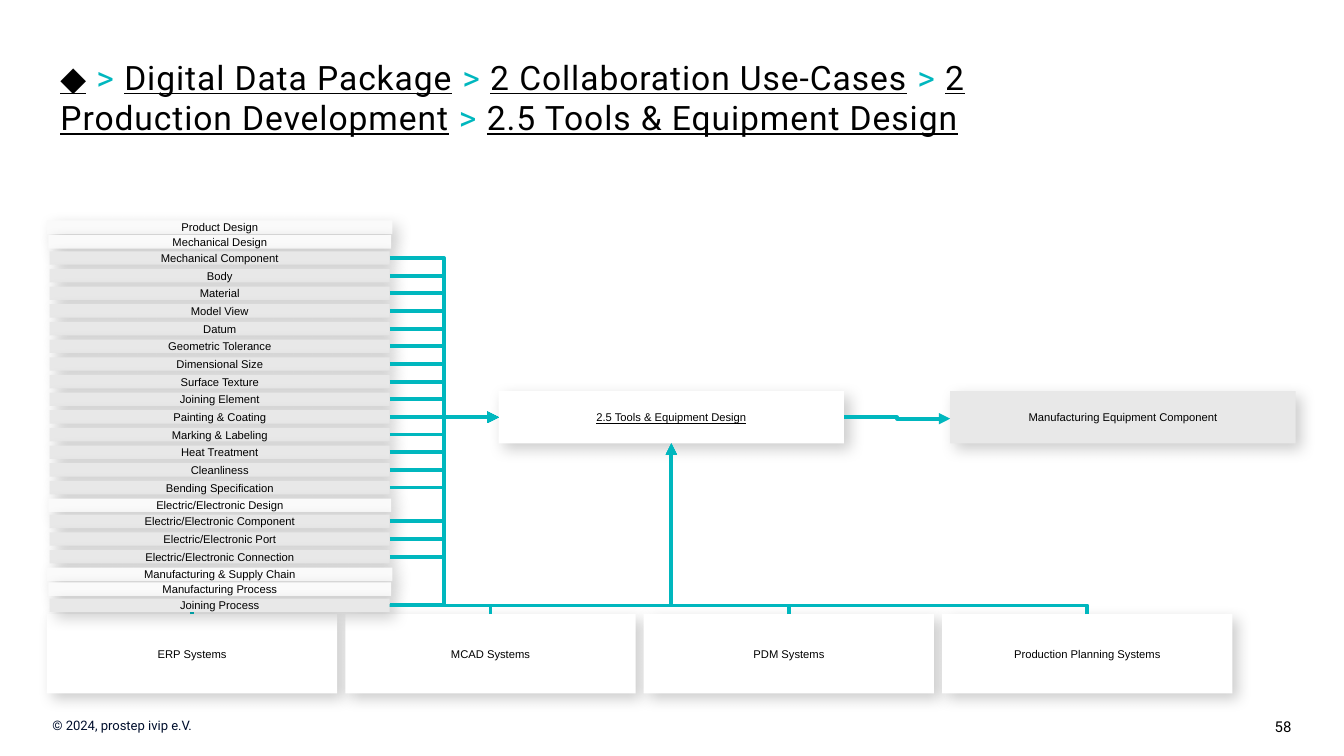
from lxml import etree
from pptx import Presentation
from pptx.dml.color import RGBColor
from pptx.enum.shapes import MSO_CONNECTOR, MSO_SHAPE
from pptx.enum.text import MSO_ANCHOR, MSO_AUTO_SIZE, PP_ALIGN
from pptx.oxml.ns import qn
from pptx.util import Inches, Pt

ELBOW = MSO_CONNECTOR.ELBOW
RECT = MSO_SHAPE.RECTANGLE
TOP, MIDDLE = MSO_ANCHOR.TOP, MSO_ANCHOR.MIDDLE
NO_FIT, GROW = MSO_AUTO_SIZE.NONE, MSO_AUTO_SIZE.SHAPE_TO_FIT_TEXT
LEFT, CENTER, RIGHT = PP_ALIGN.LEFT, PP_ALIGN.CENTER, PP_ALIGN.RIGHT

BLACK, WHITE, NAVY, TEAL = "000000", "FFFFFF", "000F2D", "00B7BE"
PALE, GREY = "FAFAFA", "E8E8E8"

HUB = (3.71, 2.91, 2.57, 0.39)
TOOL = "2.5 Tools & Equipment Design"
CRUMBS = ["◆", "Digital Data Package", "2 Collaboration Use-Cases",
          "2 Production Development", TOOL]
SYSTEMS = ["ERP Systems", "MCAD Systems", "PDM Systems",
           "Production Planning Systems"]
# Level 0 and 1 are headings, level 2 feeds the hub.
INPUTS = [
    (0, ["Product Design"]),
    (1, ["Mechanical Design"]),
    (2, ["Mechanical Component", "Body", "Material", "Model View", "Datum",
         "Geometric Tolerance", "Dimensional Size", "Surface Texture",
         "Joining Element", "Painting & Coating", "Marking & Labeling",
         "Heat Treatment", "Cleanliness", "Bending Specification"]),
    (1, ["Electric/Electronic Design"]),
    (2, ["Electric/Electronic Component", "Electric/Electronic Port",
         "Electric/Electronic Connection"]),
    (0, ["Manufacturing & Supply Chain"]),
    (1, ["Manufacturing Process"]),
    (2, ["Joining Process"]),
]
STEPS = [0.11, 0.12, 1.84 / 14]


def color(code):
    return RGBColor.from_string(code)


def style(font, name, size, code):
    font.name, font.size = name, Pt(size)
    font.color.rgb = color(code)


def pad(frame, left, top, right, bottom):
    frame.margin_left, frame.margin_top = Inches(left), Inches(top)
    frame.margin_right, frame.margin_bottom = Inches(right), Inches(bottom)


def place(shape, box):
    shape.left, shape.top, shape.width, shape.height = map(Inches, box)


def shade(shape):
    """Cast a soft shadow to the lower right."""
    shape.shadow.inherit = False
    effects = shape._element.spPr.find(qn("a:effectLst"))
    outer = etree.SubElement(effects, qn("a:outerShdw"), blurRad=str(Pt(8)),
                             dist=str(Pt(4)), dir=str(45 * 60000),
                             algn="tl", rotWithShape="0")
    tint = etree.SubElement(outer, qn("a:srgbClr"), val=BLACK)
    etree.SubElement(tint, qn("a:alpha"), val="20000")


def card(slide, box, text, fill, link=False):
    shape = slide.shapes.add_shape(RECT, *map(Inches, box))
    shape.fill.solid()
    shape.fill.fore_color.rgb = color(fill)
    shape.line.fill.background()
    shade(shape)
    frame = shape.text_frame
    frame.word_wrap, frame.vertical_anchor = True, MIDDLE
    pad(frame, 0, 0, 0, 0)
    para = frame.paragraphs[0]
    para.text, para.alignment = text, CENTER
    style(para.font, "Arial", 6, BLACK)
    para.font.underline = link


def arrow(slide, x1, y1, x2, y2):
    line = slide.shapes.add_connector(ELBOW, *map(Inches, (x1, y1, x2, y2)))
    line.line.color.rgb, line.line.width = color(TEAL), Pt(2)
    props = line._element.spPr
    etree.SubElement(props.find(qn("a:ln")), qn("a:tailEnd"), type="triangle")
    etree.SubElement(props, qn("a:effectLst"))
    return line


def rise(slide, x1, y1, x2, y2):
    """Arrow that goes up, across close to its start, and up again."""
    mid_x, mid_y = (x1 + x2) / 2, (y1 + y2) / 2
    half, side = (y1 - y2) / 2, (x2 - x1) / 2
    # Laid out on its side, then turned upright.
    turn = 1 if side > 0 else -1
    line = arrow(slide, mid_x + turn * half, mid_y + abs(side),
                 mid_x - turn * half, mid_y - abs(side))
    line.rotation = 90 if turn > 0 else 270
    guides = line._element.spPr.find(qn("a:prstGeom")).get_or_add_avLst()
    etree.SubElement(guides, qn("a:gd"), name="adj1", fmla="val 5000")


def heading(slide, box):
    title = slide.shapes.title
    place(title, box)
    frame = title.text_frame
    frame.word_wrap, frame.auto_size = True, NO_FIT
    frame.vertical_anchor = TOP
    pad(frame, 0.1, 0.05, 0.1, 0.05)
    para = frame.paragraphs[0]
    para.alignment, para.line_spacing = LEFT, 1.0
    for i, crumb in enumerate(CRUMBS):
        parts = [(" > ", TEAL, False)] if i else []
        for text, code, link in parts + [(crumb, BLACK, True)]:
            run = para.add_run()
            run.text = text
            style(run.font, "Roboto", 18, code)
            run.font.underline = link
            run._r.get_or_add_rPr().set("spc", "50")


def systems(slide, box, goal):
    left, top, width, height = box
    gap = 0.06
    wide = (width - gap * (len(SYSTEMS) - 1)) / len(SYSTEMS)
    for i, name in enumerate(SYSTEMS):
        x = left + i * (wide + gap)
        card(slide, (x, top, wide, height), name, WHITE)
        rise(slide, x + wide / 2, top, *goal)


def inputs(slide, box, goal):
    left, top, width, height = box
    for level, names in INPUTS:
        inset = level * 0.01
        for name in names:
            row = (left + inset, top, width - 2 * inset, height)
            card(slide, row, name, GREY if level == 2 else PALE)
            if level == 2:
                arrow(slide, left + width - inset, top + height / 2, *goal)
            top += STEPS[level]


def output(slide, box, start):
    left, top, width, height = box
    card(slide, box, "Manufacturing Equipment Component", GREY)
    arrow(slide, *start, left, top + height / 2 + 0.01)


def note(slide, box, text, size, code, align, sides):
    shape = slide.shapes.add_textbox(*map(Inches, box))
    frame = shape.text_frame
    frame.word_wrap, frame.auto_size = True, GROW
    pad(frame, sides[0], 0.05, sides[1], 0.05)
    para = frame.paragraphs[0]
    para.text, para.alignment = text, align
    style(para.font, "Roboto", size, code)


def main():
    deck = Presentation()
    deck.slide_width, deck.slide_height = Inches(10), Inches(10 * 9 / 16)
    slide = deck.slides.add_slide(deck.slide_layouts[5])
    left, top, width, height = HUB
    mid_x, mid_y = left + width / 2, top + height / 2

    note(slide, (9.09, 5.29, 0.91, 0.24), "58", 8, BLACK, RIGHT, (0.1, 0.39))
    note(slide, (0, 5.29, 2.4, 0.22), "© 2024, prostep ivip e.V.", 7, NAVY,
         LEFT, (0.39, 0.1))
    heading(slide, (0.35, 0.37, 7.49, 0.68))
    card(slide, HUB, TOOL, WHITE, link=True)
    systems(slide, (0.35, 4.57, 8.82, 0.59), (mid_x, top + height))
    inputs(slide, (0.35, 1.64, 2.57, 0.1), (left, mid_y))
    output(slide, (7.07, 2.91, 2.57, 0.39), (left + width, mid_y))
    deck.save("out.pptx")


if __name__ == "__main__":
    main()
